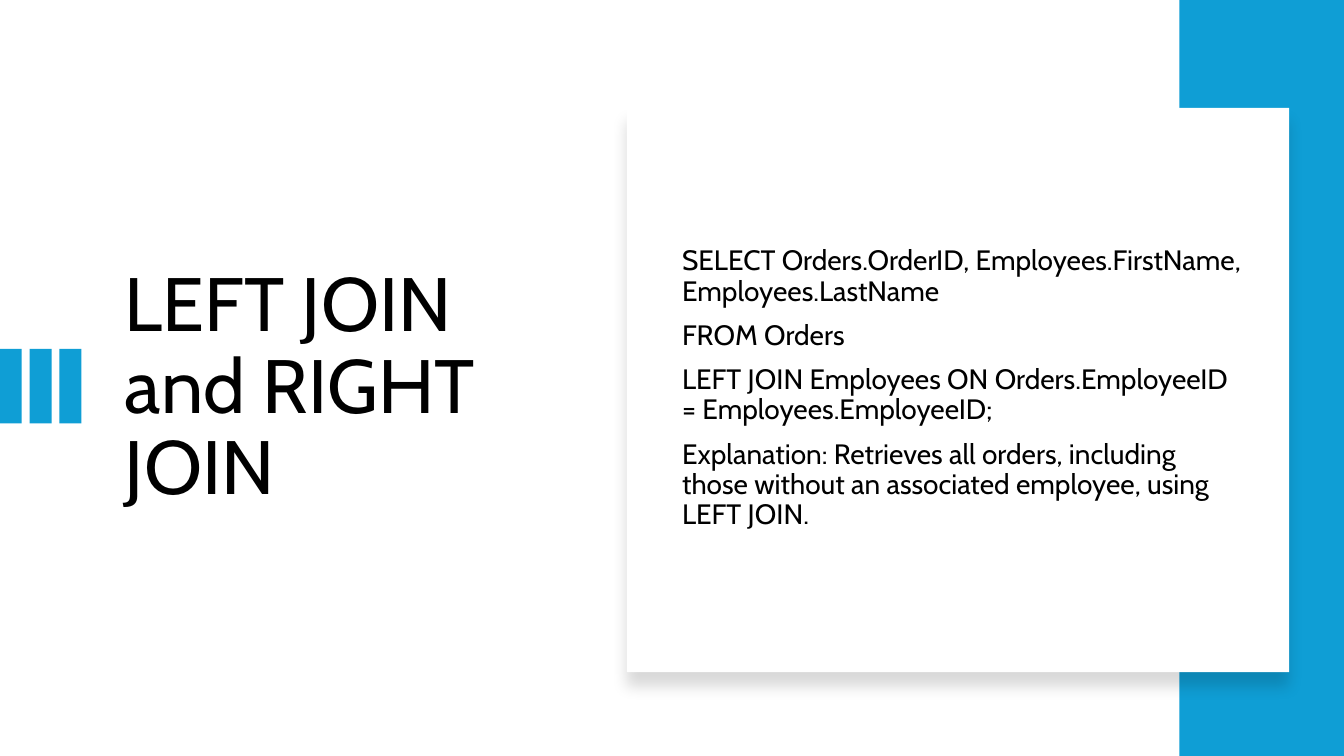
from lxml import etree
from pptx import Presentation
from pptx import util as u
from pptx.dml.color import RGBColor
from pptx.enum import shapes, text
from pptx.oxml import ns

BLUE = RGBColor(0x0F, 0x9E, 0xD5)
WHITE = RGBColor(0xFF, 0xFF, 0xFF)
BLACK = RGBColor(0, 0, 0)

deck = Presentation()
deck.slide_width, deck.slide_height = u.Cm(33.87), u.Cm(19.05)
slide = deck.slides.add_slide(deck.slide_layouts[6])


def add_rect(box, fill):
    rect = slide.shapes.add_shape(shapes.MSO_SHAPE.RECTANGLE, *map(u.Cm, box))
    rect.shadow.inherit = False
    rect.fill.solid()
    rect.fill.fore_color.rgb = fill
    rect.line.fill.background()
    return rect


def add_text(box, lines, form, gap):
    frame = slide.shapes.add_textbox(*map(u.Cm, box)).text_frame
    frame.word_wrap = True
    frame.vertical_anchor = text.MSO_ANCHOR.MIDDLE
    frame.text = "\n".join(lines)
    for para in frame.paragraphs:
        para.line_spacing = 0.9
        para.space_before = u.Pt(gap)
        font = para.runs[0].font
        font.color.rgb = BLACK
        for name, value in form.items():
            setattr(font, name, value)


add_text((2.9, 3.71, 10.82, 12.17), ["LEFT JOIN and RIGHT JOIN"],
         {"name": "Cabin", "size": u.Pt(54)}, 0)

for i in range(3):
    add_rect((i * 0.75, 8.79, 0.55, 1.88), BLUE)

add_rect((29.72, 0, 4.15, 19.05), BLUE)

card = add_rect((15.8, 2.72, 16.69, 14.22), WHITE)
glow = etree.SubElement(
    card._element.spPr.find(ns.qn("a:effectLst")), ns.qn("a:outerShdw"),
    blurRad=str(u.Pt(11)), dist=str(u.Pt(10)), dir="5400000", rotWithShape="0")
tint = etree.SubElement(glow, ns.qn("a:srgbClr"), val=str(BLACK))
etree.SubElement(tint, ns.qn("a:alpha"), val="15000")

query = [
    "SELECT Orders.OrderID, Employees.FirstName, Employees.LastName",
    "FROM Orders",
    "LEFT JOIN Employees ON Orders.EmployeeID = Employees.EmployeeID;",
    "Explanation: Retrieves all orders, including those without an "
    "associated employee, using LEFT JOIN.",
]
add_text((16.94, 3.71, 14.6, 12.17), query,
         {"name": "Cabin", "size": u.Pt(20)}, 10)

deck.save("out.pptx")
